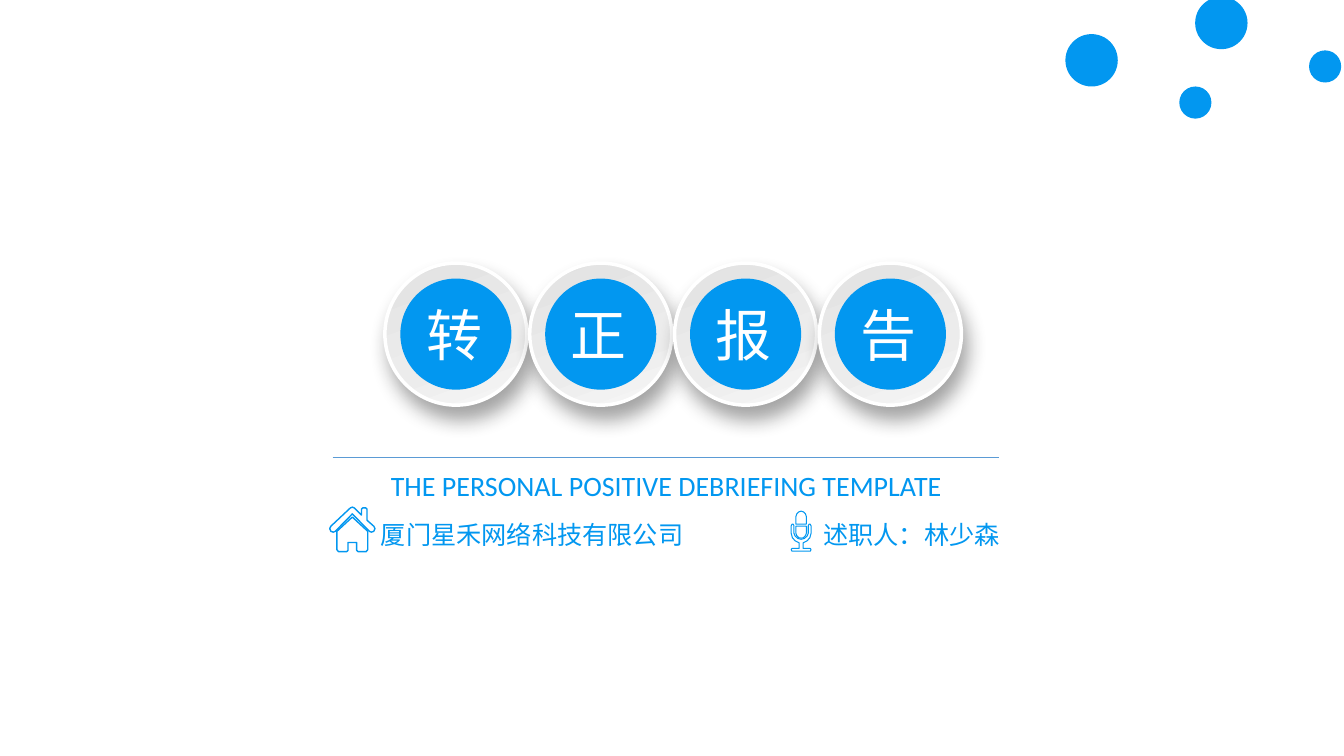
from copy import deepcopy

from lxml import etree
from pptx import Presentation
from pptx.dml.color import RGBColor
from pptx.enum.shapes import MSO_CONNECTOR, MSO_SHAPE
from pptx.oxml import parse_xml
from pptx.oxml.ns import qn
from pptx.util import Cm, Pt

OVAL = MSO_SHAPE.OVAL
STRAIGHT = MSO_CONNECTOR.STRAIGHT
BLUE = "0297F0"
WHITE = "FFFFFF"
CHINESE_FONT = "Noto Sans CJK SC"
DRAWING_NS = "http://schemas.openxmlformats.org/drawingml/2006/main"
RING_SHADOW = (
    f'<a:outerShdw xmlns:a="{DRAWING_NS}" blurRad="{Pt(14)}" dist="{Pt(10)}"'
    ' dir="4200000" algn="tl" rotWithShape="0">'
    '<a:srgbClr val="1A1A1A"><a:alpha val="40000"/></a:srgbClr></a:outerShdw>'
)


def paint(shape, fill, line=None, line_width=1):
    """Fill with one colour, or with a gradient given as (position, colour) pairs."""
    shape.shadow.inherit = False
    if isinstance(fill, str):
        shape.fill.solid()
        shape.fill.fore_color.rgb = RGBColor.from_string(fill)
    else:
        shape.fill.gradient()
        shape.fill.gradient_angle = 290
        stop_list = shape.fill._fill._gradFill.find(qn("a:gsLst"))
        while len(stop_list) < len(fill):
            stop_list.append(deepcopy(stop_list[-1]))
        for stop, (position, colour) in zip(shape.fill.gradient_stops, fill):
            stop.position = position
            stop.color.rgb = RGBColor.from_string(colour)
    if line:
        shape.line.color.rgb = RGBColor.from_string(line)
        shape.line.width = Pt(line_width)
    else:
        shape.line.fill.background()


def add_text(text, left, top, width, height, size, colour=BLUE, font=CHINESE_FONT):
    frame = slide.shapes.add_textbox(Cm(left), Cm(top), Cm(width), Cm(height)).text_frame
    frame.word_wrap = True
    run = frame.paragraphs[0].add_run()
    run.text = text
    run.font.size = Pt(size)
    run.font.name = font
    run.font.color.rgb = RGBColor.from_string(colour)
    etree.SubElement(run.font._element, qn("a:ea"), typeface=font)


prs = Presentation()
prs.slide_width, prs.slide_height = Cm(33.87), Cm(19.05)
slide = prs.slides.add_slide(prs.slide_layouts[6])

# Title: one raised button per character
RING_SIZE, DISC_SIZE, BUTTON_PITCH = 3.58, 2.8, 3.65
BUTTON_X, BUTTON_Y = 11.49, 8.42
RING_GRADIENT = [(0, "E2E2E2"), (0.63, "ECECEC"), (1, "F7F7F7")]
for i, character in enumerate("转正报告"):
    centre_x = BUTTON_X + i * BUTTON_PITCH
    for size, fill, line in [(RING_SIZE, RING_GRADIENT, WHITE), (DISC_SIZE, BLUE, None)]:
        circle = slide.shapes.add_shape(
            OVAL, Cm(centre_x - size / 2), Cm(BUTTON_Y - size / 2), Cm(size), Cm(size))
        paint(circle, fill, line, 2.5)
        if size == RING_SIZE:
            effects = circle._element.spPr.find(qn("a:effectLst"))
            effects.append(parse_xml(RING_SHADOW))
    add_text(character, centre_x - 1, 7.44, 1.85, 1.96, 40, WHITE)

# Subtitle block
divider = slide.shapes.add_connector(STRAIGHT, Cm(8.38), Cm(11.53), Cm(25.17), Cm(11.53))
divider.line.color.rgb = RGBColor.from_string("5B9BD5")
divider.line.width = Pt(0.5)
etree.SubElement(divider._element.spPr, qn("a:effectLst"))

add_text("THE PERSONAL POSITIVE DEBRIEFING TEMPLATE", 9.6, 11.68, 14.66, 1.11, 20,
         font="Calibri")
add_text("厦门星禾网络科技有限公司", 9.35, 12.95, 8.2, 1.03, 18)
add_text("述职人：林少森", 20.5, 12.95, 5.74, 1.03, 18)

# Icons: right halves of symmetric outlines, in hundredths of a centimetre,
# with x measured from the icon's axis and y from the top of the slide
house_halves = [
    [(0, 1303), (39, 1339), (39, 1385), (35, 1390), (14, 1390), (11, 1387), (11, 1367)],
    [(0, 1278), (5, 1280), (54, 1326), (57, 1332), (54, 1339), (48, 1341), (43, 1339),
     (0, 1295)],
]
chimney = [(23, 1298), (23, 1283), (26, 1280), (34, 1280), (37, 1283), (37, 1311)]
microphone_halves = [
    [(0, 1288), (6, 1290), (11, 1295), (13, 1301), (13, 1321)],
    [(13, 1326), (13, 1344), (11, 1350), (6, 1355), (0, 1356)],
    [(0, 1359), (8, 1357), (15, 1351), (18, 1344), (18, 1325), (20, 1321), (23, 1321),
     (25, 1325), (25, 1344), (22, 1355), (15, 1363), (5, 1368), (5, 1382), (23, 1382),
     (25, 1385), (23, 1389)],
]
for axis, halves, line_width in [(888, house_halves, 1), (2019, microphone_halves, 0.75)]:
    outlines = [half + [(-x, y) for x, y in reversed(half)] for half in halves]
    if halves is house_halves:
        outlines[1][2:2] = chimney
    builder = None
    for outline in outlines:
        points = [(axis + x, y) for x, y in outline]
        if builder is None:
            builder = slide.shapes.build_freeform(*points[0], scale=Cm(0.01))
        else:
            builder.move_to(*points[0])
        builder.add_line_segments(points[1:], close=True)
    paint(builder.convert_to_shape(), WHITE, BLUE, line_width)

# Corner dots
BIG, SMALL = 1.32, 0.81
for left, top, size in [(26.85, 0.86, BIG), (29.72, 2.18, SMALL),
                        (30.12, -0.08, BIG), (32.99, 1.27, SMALL)]:
    dot = slide.shapes.add_shape(OVAL, Cm(left), Cm(top), Cm(size), Cm(size))
    paint(dot, BLUE)

prs.save("out.pptx")
